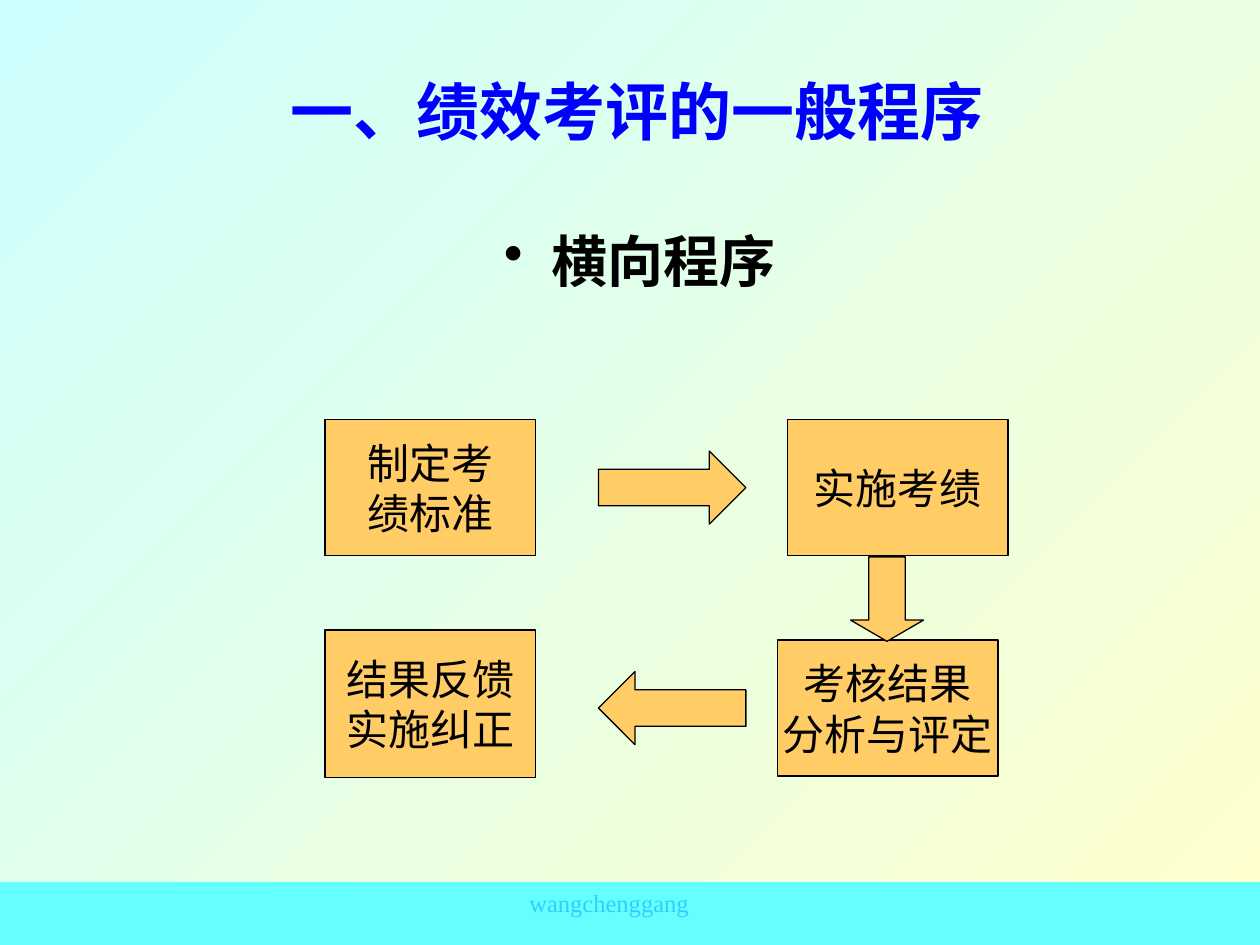
from lxml import etree
from pptx import Presentation
from pptx.dml.color import RGBColor
from pptx.enum.shapes import MSO_SHAPE
from pptx.enum.text import MSO_ANCHOR, PP_ALIGN
from pptx.oxml.ns import qn
from pptx.util import Inches, Pt

RECTANGLE = MSO_SHAPE.RECTANGLE
RIGHT, DOWN, LEFT = MSO_SHAPE.RIGHT_ARROW, MSO_SHAPE.DOWN_ARROW, MSO_SHAPE.LEFT_ARROW
TOP, MIDDLE = MSO_ANCHOR.TOP, MSO_ANCHOR.MIDDLE
CENTER = PP_ALIGN.CENTER

LATIN_FONT = "Times New Roman"
CHINESE_FONT = "Noto Sans CJK SC"
BOX_FILL = "FFCC66"


def write_text(shape, text, size=24, color="000000", bold=False,
               font=LATIN_FONT, anchor=MIDDLE, wrap=True):
    """Write centred text, one paragraph for each line of it."""
    frame = shape.text_frame
    frame.text = text
    frame.word_wrap = wrap
    frame.vertical_anchor = anchor
    for paragraph in frame.paragraphs:
        paragraph.alignment = CENTER
        for run in paragraph.runs:
            run.font.name = font
            run.font.size = Pt(size)
            run.font.bold = bold
            run.font.color.rgb = RGBColor.from_string(color)
            east_asian = etree.SubElement(run.font._element, qn("a:ea"))
            east_asian.set("typeface", CHINESE_FONT)


def add_filled_shape(kind, left, top, width, height, fill=BOX_FILL, line="000000"):
    shape = slide.shapes.add_shape(
        kind, Inches(left), Inches(top), Inches(width), Inches(height))
    shape.shadow.inherit = False
    shape.fill.solid()
    shape.fill.fore_color.rgb = RGBColor.from_string(fill)
    if line:
        shape.line.color.rgb = RGBColor.from_string(line)
        shape.line.width = Pt(0.75)
    else:
        shape.line.fill.background()
    return shape


presentation = Presentation()
presentation.slide_width = Inches(10)
presentation.slide_height = Inches(7.5)
slide = presentation.slides.add_slide(presentation.slide_layouts[6])

# Diagonal background, from top left to bottom right
background = slide.background.fill
background.gradient()
background.gradient_angle = 315
for stop, color, position in zip(background.gradient_stops, ("CCFFFF", "FFFFCC"), (0, 1)):
    stop.color.rgb = RGBColor.from_string(color)
    stop.position = position

# Footer band, footer, title and subtitle
add_filled_shape(RECTANGLE, 0, 7, 10, 0.5, fill="66FFFF", line=None)

footer = slide.shapes.add_textbox(Inches(3.25), Inches(7), Inches(3.17), Inches(0.33))
write_text(footer, "wangchenggang", size=14, color="33CCFF", anchor=TOP)

title = slide.shapes.add_textbox(Inches(0.75), Inches(0.25), Inches(8.5), Inches(1.25))
write_text(title, " 一、绩效考评的一般程序", size=36, color="0000FF", bold=True)

subtitle = slide.shapes.add_textbox(Inches(0.83), Inches(1.75), Inches(8.5), Inches(4.17))
write_text(subtitle, "横向程序", size=32, bold=True, font=CHINESE_FONT, anchor=TOP)
bullet_properties = subtitle.text_frame.paragraphs[0]._p.get_or_add_pPr()
bullet_properties.set("marL", str(Inches(0.38)))
bullet_properties.set("indent", str(Inches(-0.38)))
etree.SubElement(bullet_properties, qn("a:buChar")).set("char", "•")

# Steps of the procedure, clockwise
steps = [
    ("制定考\n绩标准", 2.58, 3.33, 1.67, 1.08),
    ("实施考绩", 6.25, 3.33, 1.75, 1.08),
    ("考核结果\n分析与评定", 6.17, 5.08, 1.75, 1.08),
    ("结果反馈\n实施纠正", 2.58, 5, 1.67, 1.17),
]
for text, left, top, width, height in steps:
    step = add_filled_shape(RECTANGLE, left, top, width, height)
    write_text(step, text, wrap=False)

# Arrows between the steps
arrows = [
    (RIGHT, 4.75, 3.58, 1.17, 0.58, 0.5),
    (DOWN, 6.75, 4.42, 0.58, 0.67, 0.29),
    (LEFT, 4.75, 5.33, 1.17, 0.58, 0.5),
]
for kind, left, top, width, height, head_length in arrows:
    arrow = add_filled_shape(kind, left, top, width, height)
    arrow.adjustments[0] = 0.5
    arrow.adjustments[1] = head_length

presentation.save("out.pptx")
